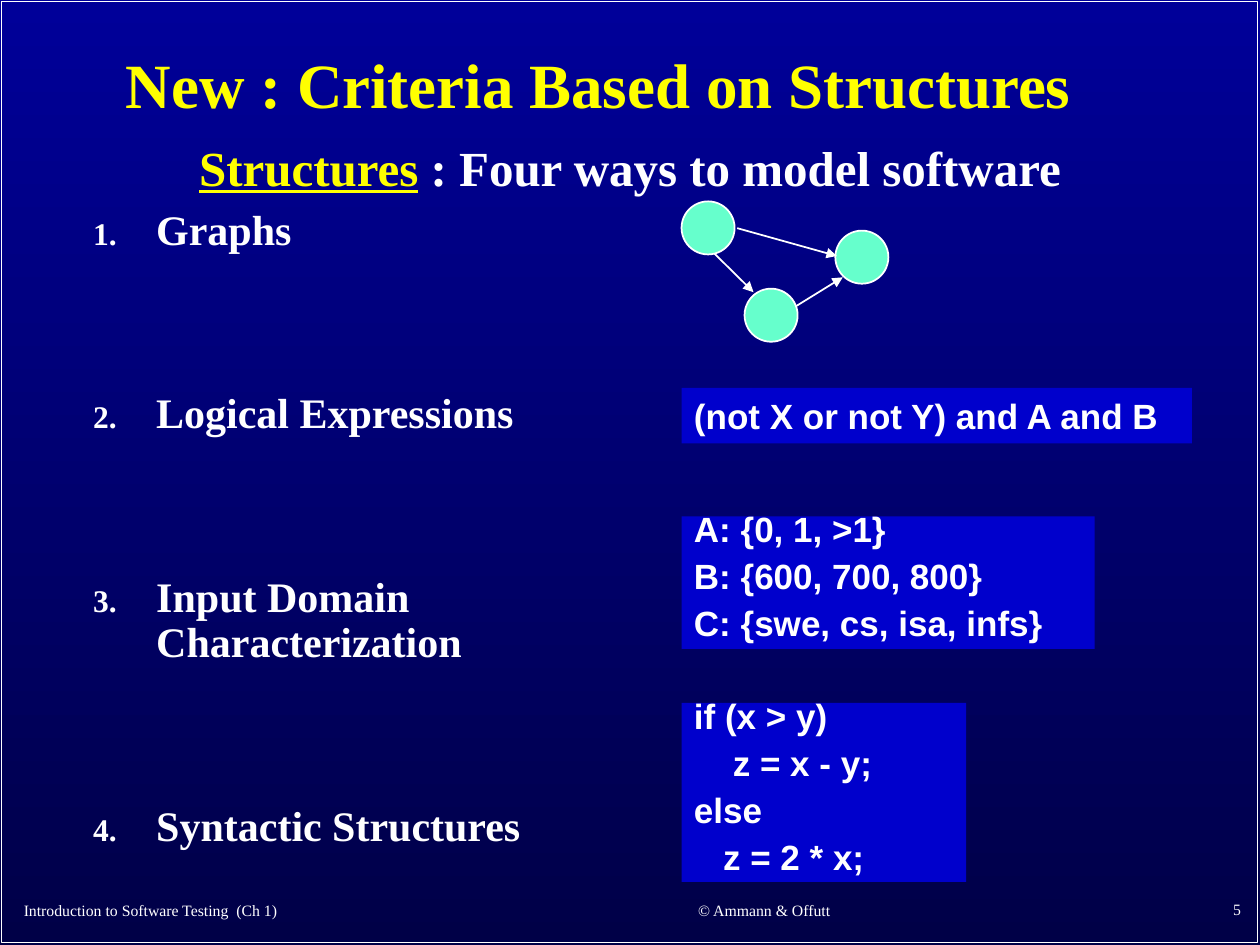
from lxml import etree
from pptx import Presentation
from pptx.dml.color import RGBColor
from pptx.enum import shapes, text
from pptx.oxml import ns
from pptx.util import Cm, Pt

WHITE = RGBColor(0xFF, 0xFF, 0xFF)
YELLOW = RGBColor(0xFF, 0xFF, 0x00)
MINT = RGBColor(0x66, 0xFF, 0xCC)
BLUE = RGBColor(0x00, 0x00, 0xCC)
SKY_TOP = RGBColor(0x00, 0x00, 0x99)
SKY_BOTTOM = RGBColor(0x00, 0x00, 0x47)
SERIF, SANS = "Times New Roman", "Arial"
LEFT, CENTER, RIGHT = text.PP_ALIGN.LEFT, text.PP_ALIGN.CENTER, text.PP_ALIGN.RIGHT
TOP, MIDDLE = text.MSO_ANCHOR.TOP, text.MSO_ANCHOR.MIDDLE

# Boxes are left, top, width, height in centimetres.
TITLE = "New : Criteria Based on Structures"
TITLE_BOX = (1.27, 0.18, 21.59, 3.18)
SUBTITLE = [("Structures", YELLOW, True), (" : Four ways to model software", WHITE, False)]
SUBTITLE_BOX = (2.44, 2.64, 20.52, 1.45)
STRUCTURES = ["Graphs", "Logical Expressions", "Input Domain Characterization",
              "Syntactic Structures"]
STRUCTURES_BOX = (1.63, 4.09, 11.15, 13.59)
FOOTERS = [
    ("Introduction to Software Testing  (Ch 1)", (0.23, 17.86, 10.8, 0.97), LEFT),
    ("© Ammann & Offutt", (11.38, 17.86, 8.05, 0.99), CENTER),
    ("5", (19.99, 17.81, 5.28, 1.02), RIGHT),
]
EXAMPLE_LEFT = 13.74
EXAMPLES = [  # top, width, height, line spacing, lines
    (7.82, 10.29, 1.12, 1.0, ["(not X or not Y) and A and B"]),
    (10.41, 8.33, 2.67, 0.6, ["A: {0, 1, >1}", "B: {600, 700, 800}", "C: {swe, cs, isa, infs}"]),
    (14.17, 5.74, 3.61, 0.6, ["if (x > y)", "    z = x - y;", "else", "   z = 2 * x;"]),
]
NODE_SIZE = 1.07
NODES = [(13.74, 4.06), (16.84, 4.65), (15.01, 5.82)]
EDGES = [(14.86, 4.6, 16.87, 5.16), (14.4, 5.11, 15.19, 5.89), (16.05, 6.17, 16.99, 5.59)]


def lengths(values):
    return [Cm(value) for value in values]


def add_run(paragraph, words, size, color=WHITE, font=SERIF, bold=True, underline=False):
    run = paragraph.add_run()
    run.text = words
    run.font.name, run.font.size, run.font.bold = font, Pt(size), bold
    run.font.color.rgb = color
    run.font.underline = underline


def prepare_frame(shape, anchor=TOP):
    frame = shape.text_frame
    frame.word_wrap = True
    frame.auto_size = text.MSO_AUTO_SIZE.NONE
    frame.vertical_anchor = anchor
    return frame


def add_text_box(slide, box, anchor=TOP):
    return prepare_frame(slide.shapes.add_textbox(*lengths(box)), anchor)


def next_paragraph(frame, index, space_before):
    paragraph = frame.add_paragraph() if index else frame.paragraphs[0]
    if index:
        paragraph.space_before = Pt(space_before)
    return paragraph


def add_shape(slide, kind, box, fill=None, outlined=False):
    shape = slide.shapes.add_shape(kind, *lengths(box))
    shape.shadow.inherit = False
    if fill is None:
        shape.fill.background()
    else:
        shape.fill.solid()
        shape.fill.fore_color.rgb = fill
    if outlined:
        shape.line.color.rgb = WHITE
        shape.line.width = Pt(1)
    else:
        shape.line.fill.background()
    return shape


def add_arrow(slide, points):
    arrow = slide.shapes.add_connector(shapes.MSO_CONNECTOR.STRAIGHT, *lengths(points))
    arrow.line.color.rgb = WHITE
    arrow.line.width = Pt(1)
    etree.SubElement(arrow.line._get_or_add_ln(), ns.qn("a:tailEnd"), type="triangle")
    etree.SubElement(arrow._element.spPr, ns.qn("a:effectLst"))


def number_paragraph(paragraph):
    """Give the paragraph a hanging, smaller white number."""
    properties = paragraph._p.get_or_add_pPr()
    properties.set("marL", str(Cm(1.27)))
    properties.set("indent", str(-Cm(1.27)))
    color = etree.SubElement(properties, ns.qn("a:buClr"))
    etree.SubElement(color, ns.qn("a:srgbClr"), val=str(WHITE))
    etree.SubElement(properties, ns.qn("a:buSzPct"), val="75000")
    etree.SubElement(properties, ns.qn("a:buFont"), typeface=SERIF)
    etree.SubElement(properties, ns.qn("a:buAutoNum"), type="arabicPeriod")


def set_background(slide):
    fill = slide.background.fill
    fill.gradient()
    fill.gradient_angle = 270
    for stop, color, position in zip(fill.gradient_stops, (SKY_TOP, SKY_BOTTOM), (0, 1)):
        stop.color.rgb = color
        stop.position = position


def add_title(slide):
    title = slide.shapes.title
    title.left, title.top, title.width, title.height = lengths(TITLE_BOX)
    paragraph = prepare_frame(title, MIDDLE).paragraphs[0]
    paragraph.alignment = CENTER
    paragraph.line_spacing = 0.9
    add_run(paragraph, TITLE, 36, YELLOW)


def add_structures(slide):
    frame = add_text_box(slide, STRUCTURES_BOX)
    for index, name in enumerate(STRUCTURES):
        paragraph = next_paragraph(frame, index, 79)
        paragraph.line_spacing = 0.9
        number_paragraph(paragraph)
        add_run(paragraph, name, 24)


def add_graph(slide):
    for left, top in NODES:
        add_shape(slide, shapes.MSO_SHAPE.OVAL, (left, top, NODE_SIZE, NODE_SIZE), MINT, True)
    for points in EDGES:
        add_arrow(slide, points)


def add_examples(slide):
    for top, width, height, spacing, lines in EXAMPLES:
        box = add_shape(slide, shapes.MSO_SHAPE.RECTANGLE,
                        (EXAMPLE_LEFT, top, width, height), BLUE)
        frame = prepare_frame(box)
        for index, line in enumerate(lines):
            paragraph = next_paragraph(frame, index, 12.5)
            paragraph.alignment = LEFT
            paragraph.line_spacing = spacing
            add_run(paragraph, line, 20, font=SANS)


def main():
    presentation = Presentation()
    presentation.slide_width, presentation.slide_height = Cm(25.4), Cm(19.05)
    slide = presentation.slides.add_slide(presentation.slide_layouts[5])
    set_background(slide)
    add_shape(slide, shapes.MSO_SHAPE.RECTANGLE, (0.03, 0.03, 25.32, 18.97), outlined=True)
    for words, box, alignment in FOOTERS:
        paragraph = add_text_box(slide, box, MIDDLE).paragraphs[0]
        paragraph.alignment = alignment
        add_run(paragraph, words, 9, bold=False)
    add_title(slide)
    add_structures(slide)
    add_graph(slide)
    add_examples(slide)
    paragraph = add_text_box(slide, SUBTITLE_BOX).paragraphs[0]
    paragraph.alignment = CENTER
    for words, color, underline in SUBTITLE:
        add_run(paragraph, words, 28, color, underline=underline)
    presentation.save("out.pptx")


if __name__ == "__main__":
    main()
